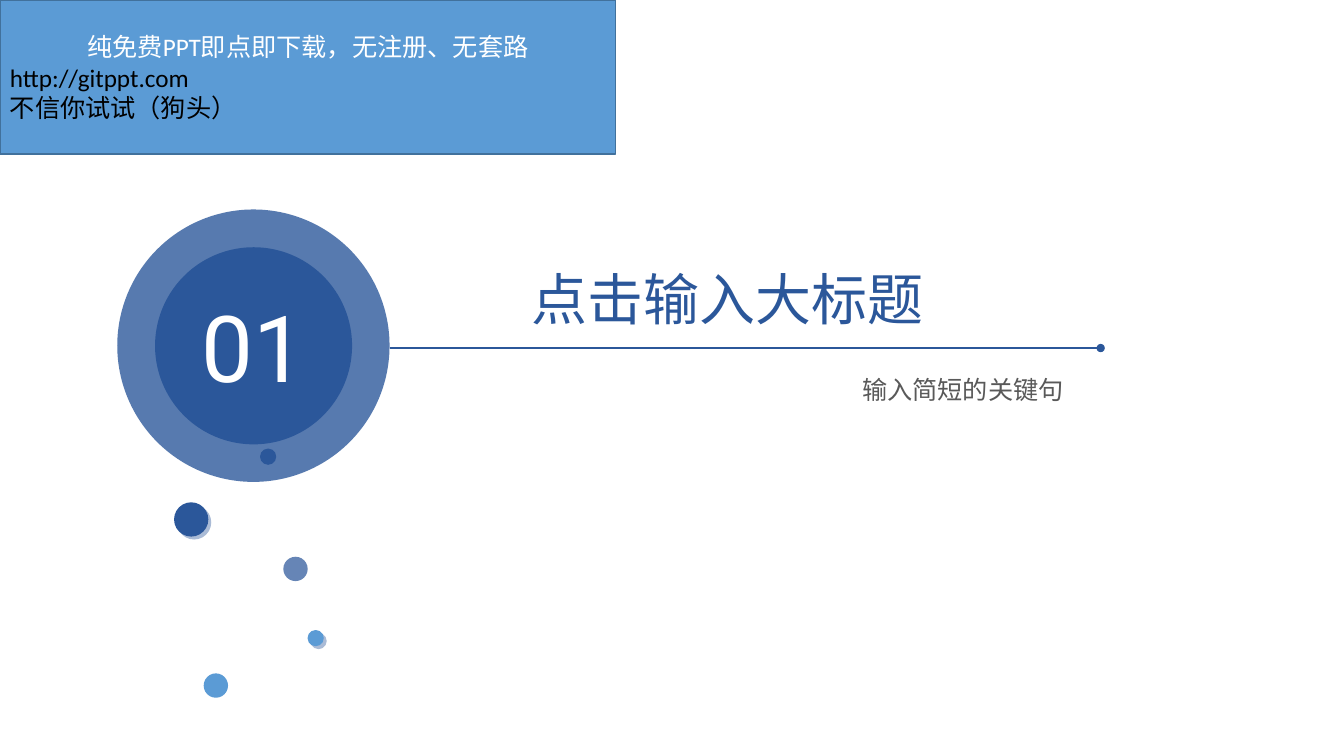
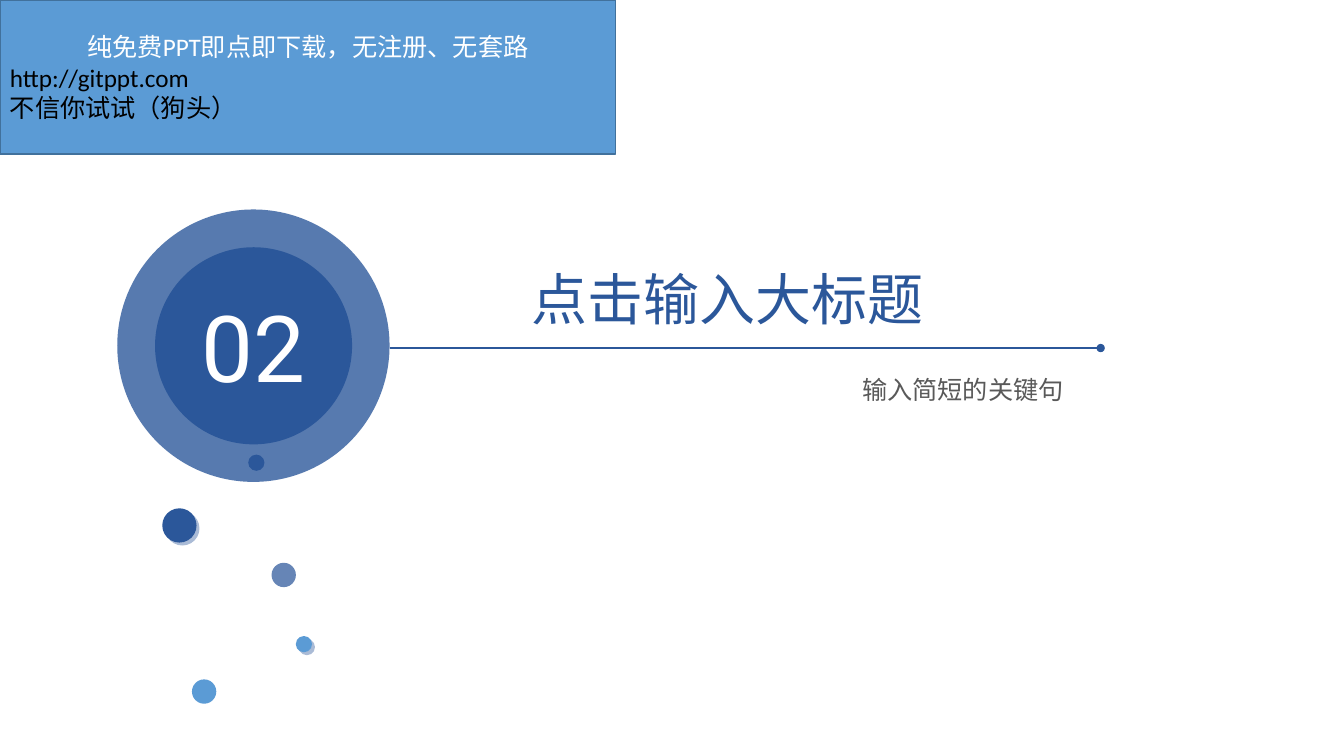
"""Build two numbered section slides with a badge, a title line and loose dots."""
import pptx
import pptx.util
import pptx.dml.color
import pptx.enum.shapes
import pptx.enum.text
import pptx.oxml
from pptx.oxml.ns import nsdecls, qn

Pt = pptx.util.Pt
rgb = pptx.dml.color.RGBColor.from_string
SHAPE = pptx.enum.shapes.MSO_SHAPE
CENTER = pptx.enum.text.PP_ALIGN.CENTER
LEFT = pptx.enum.text.PP_ALIGN.LEFT
TOP = pptx.enum.text.MSO_ANCHOR.TOP
MIDDLE = pptx.enum.text.MSO_ANCHOR.MIDDLE
NAVY, SKY, EDGE = "2B579A", "5B9BD5", "41719C"
GREY, WHITE, BLACK = "595959", "FFFFFF", "000000"
HAN = "Noto Sans CJK SC"

SHADE = f"""<a:effectLst {nsdecls('a')}>
<a:outerShdw blurRad="0" dist="{Pt(3)}" dir="2700000" algn="tl" rotWithShape="0">
<a:srgbClr val="{NAVY}"><a:alpha val="40000"/></a:srgbClr>
</a:outerShdw></a:effectLst>"""

DOTS = [
    (202.5, 397.7, 17.4, NAVY, 72, False),
    (124.4, 358.8, 24.5, NAVY, 100, True),
    (145.6, 481, 17.4, SKY, 100, False),
    (219.8, 450, 11.6, SKY, 100, True),
    (185.8, 320.4, 11.6, NAVY, 100, False),
]
BANNER = [
    ("纯免费PPT即点即下载，无注册、无套路", WHITE, CENTER),
    ("http://gitppt.com", BLACK, LEFT),
    ("不信你试试（狗头）", BLACK, LEFT),
]
PARTS = [("01", 0, 0), ("02", -8.4, 4.3)]


def draw(slide, kind, x, y, wide, high, tint, solid=100, shade=False):
    shape = slide.shapes.add_shape(kind, Pt(x), Pt(y), Pt(wide), Pt(high))
    shape.fill.solid()
    shape.fill.fore_color.rgb = rgb(tint)
    shape.line.fill.background()
    shape.shadow.inherit = False
    props = shape.element.spPr
    if solid < 100:
        alpha = pptx.oxml.parse_xml(f'<a:alpha {nsdecls("a")} val="{solid * 1000}"/>')
        props.find(".//" + qn("a:srgbClr")).append(alpha)
    if shade:
        props.replace(props.find(qn("a:effectLst")), pptx.oxml.parse_xml(SHADE))
    return shape


def write(shape, lines, size, face, anchor=TOP, wrap=True):
    frame = shape.text_frame
    frame.word_wrap = wrap
    frame.auto_size = pptx.enum.text.MSO_AUTO_SIZE.NONE
    frame.vertical_anchor = anchor
    frame.margin_left = frame.margin_right = Pt(7.2)
    frame.margin_top = frame.margin_bottom = Pt(3.6)
    for index, (text, tint, align) in enumerate(lines):
        para = frame.add_paragraph() if index else frame.paragraphs[0]
        para.alignment = align
        run = para.add_run()
        run.text = text
        run.font.size = Pt(size)
        run.font.name = face
        run.font.color.rgb = rgb(tint)
        east = pptx.oxml.parse_xml(f'<a:ea {nsdecls("a")} typeface="{face}"/>')
        run.font._element.append(east)


deck = pptx.Presentation()
deck.slide_width, deck.slide_height = Pt(960.5), Pt(540)

for number, dx, dy in PARTS:
    slide = deck.slides.add_slide(deck.slide_layouts[5])

    draw(slide, SHAPE.OVAL, 83.8, 149.6, 194.6, 194.6, NAVY, 79)
    badge = draw(slide, SHAPE.OVAL, 110.8, 176.6, 140.8, 140.8, NAVY)
    write(badge, [(number, WHITE, CENTER)], 66, "Roboto", MIDDLE)

    title = slide.shapes.title
    title.left, title.top, title.width, title.height = Pt(372.7), Pt(185), Pt(310), Pt(55.4)
    write(title, [("点击输入大标题", NAVY, LEFT)], 40, HAN)

    note = slide.shapes.add_textbox(Pt(609.1), Pt(263.9), Pt(158.4), Pt(29))
    write(note, [("输入简短的关键句", GREY, LEFT)], 18, HAN, wrap=False)

    rule = slide.shapes.add_connector(
        pptx.enum.shapes.MSO_CONNECTOR.STRAIGHT, Pt(278.6), Pt(248.6), Pt(786.6), Pt(248.6))
    rule.line.color.rgb = rgb(NAVY)
    rule.line.width = Pt(1.25)
    tail = pptx.oxml.parse_xml(f'<a:tailEnd {nsdecls("a")} type="oval"/>')
    rule.line._get_or_add_ln().append(tail)
    rule.element.spPr.append(pptx.oxml.parse_xml(f'<a:effectLst {nsdecls("a")}/>'))

    for x, y, size, tint, solid, shade in DOTS:
        draw(slide, SHAPE.OVAL, x + dx, y + dy, size, size, tint, solid, shade)

    banner = draw(slide, SHAPE.RECTANGLE, 0, 0, 440, 110, SKY)
    banner.line.color.rgb = rgb(EDGE)
    banner.line.width = Pt(1)
    write(banner, BANNER, 18, "Calibri", MIDDLE)

deck.save("out.pptx")
